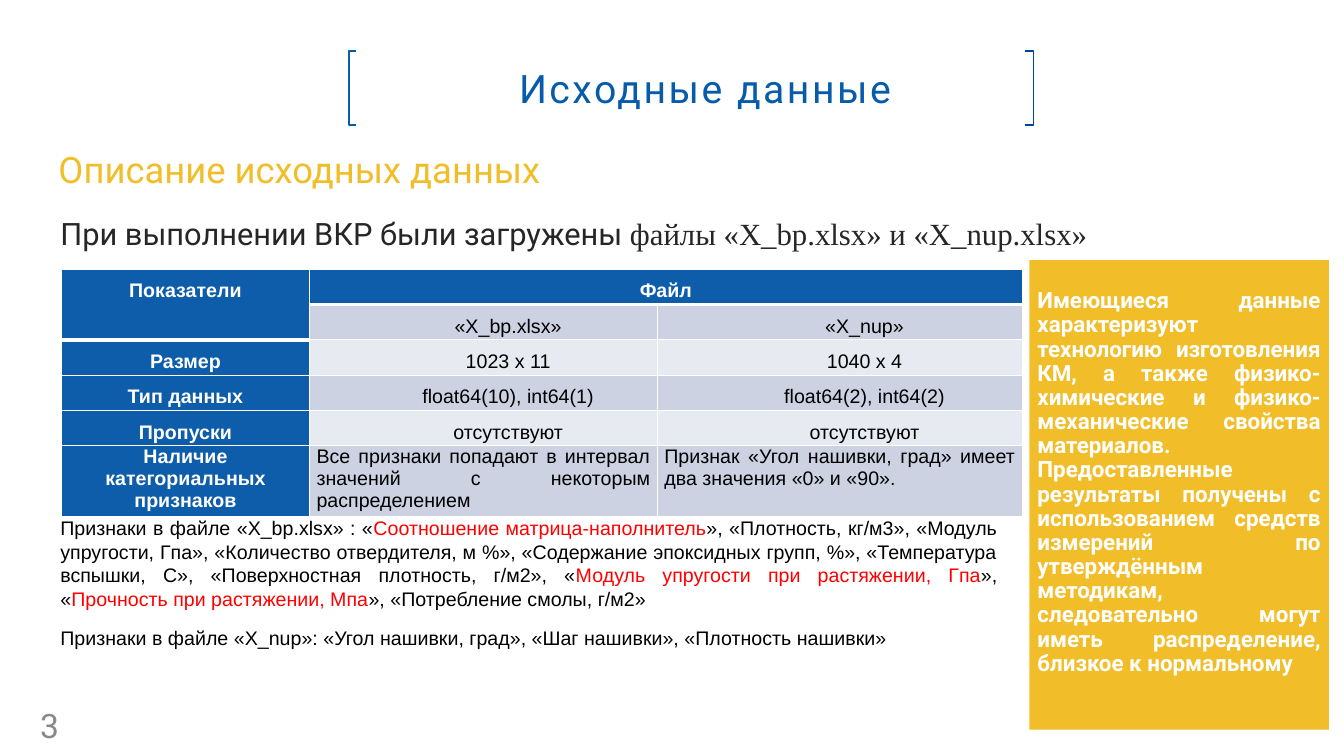
from pptx import Presentation
from pptx.dml.color import RGBColor
from pptx.enum.shapes import MSO_SHAPE as Shape
from pptx.enum.text import MSO_ANCHOR as Anchor, PP_ALIGN as Align
from pptx.oxml.ns import qn
from pptx.util import Pt
from lxml.etree import SubElement

PX = 9144  # 100 px to the inch
BLUE = RGBColor(0x06, 0x5C, 0xAB)
DEEP_BLUE = RGBColor(0x00, 0x46, 0xA2)
TABLE_BLUE = RGBColor(0x0E, 0x5D, 0xAB)
BAND_DARK = RGBColor(0xCC, 0xD2, 0xE2)
BAND_LIGHT = RGBColor(0xE7, 0xEA, 0xF1)
GOLD = RGBColor(0xF1, 0xBE, 0x29)
WHITE = RGBColor(0xFF, 0xFF, 0xFF)
BLACK = RGBColor(0x00, 0x00, 0x00)
RED = RGBColor(0xFF, 0x00, 0x00)
DARK_GREY = RGBColor(0x26, 0x26, 0x26)
GREY = RGBColor(0x89, 0x89, 0x89)

TABLE_ROWS = [
    ["Показатели", "Файл", ""],
    ["", "«X_bp.xlsx»", "«X_nup»"],
    ["Размер", "1023 х 11", "1040 х 4"],
    ["Тип данных", "float64(10), int64(1)", "float64(2), int64(2)"],
    ["Пропуски", "отсутствуют", "отсутствуют"],
    ["Наличие категориальных признаков",
     "Все признаки попадают в интервал значений с некоторым распределением",
     "Признак «Угол нашивки, град» имеет два значения «0» и «90»."],
]
HEADER_CELLS = {(0, 0), (0, 1), (0, 2), (1, 0)}

# Every second piece is a target feature, shown in red.
BP_FEATURES = [
    "Признаки в файле «X_bp.xlsx» : «",
    "Соотношение матрица-наполнитель",
    "», «Плотность, кг/м3», «Модуль упругости, Гпа», «Количество отвердителя, м %», "
    "«Содержание эпоксидных групп, %», «Температура вспышки, С», "
    "«Поверхностная плотность, г/м2», «",
    "Модуль упругости при растяжении, Гпа",
    "», «",
    "Прочность при растяжении, Мпа",
    "», «Потребление смолы, г/м2»",
]
NUP_FEATURES = "Признаки в файле «X_nup»: «Угол нашивки, град», «Шаг нашивки», «Плотность нашивки»"
CONCLUSIONS = [
    "Имеющиеся данные характеризуют технологию изготовления КМ, а также "
    "физико-химические и физико-механические свойства материалов.",
    "Предоставленные результаты получены с использованием средств измерений по "
    "утверждённым методикам, следовательно могут иметь распределение, близкое к нормальному",
]


def scaled(*lengths):
    return [length * PX for length in lengths]


def set_insets(holder, *insets):
    (holder.margin_left, holder.margin_top,
     holder.margin_right, holder.margin_bottom) = scaled(*insets)


def style(para, size, color, name="Roboto", bold=False, align=Align.LEFT, spacing=1.0):
    font = para.font
    font.size, font.name, font.bold = Pt(size), name, bold
    font.color.rgb = color
    para.alignment, para.line_spacing = align, spacing


def add_text(page, box, text, size, color, left_inset=10, anchor=Anchor.TOP, **look):
    """Adds a one-paragraph text box and returns the paragraph."""
    frame = page.shapes.add_textbox(*scaled(*box)).text_frame
    frame.word_wrap = True
    frame.vertical_anchor = anchor
    set_insets(frame, left_inset, 5, 10, 5)
    para = frame.paragraphs[0]
    para.text = text
    style(para, size, color, **look)
    return para


def add_block(shapes, box, color):
    block = shapes.add_shape(Shape.RECTANGLE, *scaled(*box))
    block.shadow.inherit = False
    block.fill.solid()
    block.fill.fore_color.rgb = color
    block.line.fill.background()
    block.text_frame.word_wrap = True
    block.text_frame.vertical_anchor = Anchor.MIDDLE
    return block


def add_bracket(shapes, spine, tip, top, bottom, color):
    builder = shapes.build_freeform(tip, top, scale=PX)
    builder.add_line_segments([(spine, top), (spine, bottom), (tip, bottom)], close=False)
    bracket = builder.convert_to_shape()
    bracket.shadow.inherit = False
    bracket.fill.background()
    bracket.line.color.rgb = color
    bracket.line.width = Pt(1.3)


def add_title(page, box):
    left, top, width, height = box
    shapes = page.shapes.add_group_shape().shapes
    block = add_block(shapes, box, WHITE)
    block.line.color.rgb = WHITE
    block.line.width = Pt(2)
    para = block.text_frame.paragraphs[0]
    span = para.add_run()
    span.text = "Исходные данные"
    span.font._element.set("spc", "180")
    style(para, 28, BLUE, align=Align.CENTER)
    right = left + 679
    add_bracket(shapes, left, left + 7, top, top + height, BLUE)
    add_bracket(shapes, right, right - 8, top, top + height, DEEP_BLUE)


def add_borders(cell, widths):
    properties = cell._tc.get_or_add_tcPr()
    for side, width in widths.items():
        line = SubElement(properties, qn(f"a:ln{side}"), w=str(Pt(width)))
        fill = SubElement(line, qn("a:solidFill"))
        SubElement(fill, qn("a:srgbClr"), val=str(WHITE))


def add_data_table(page, box):
    table = page.shapes.add_table(len(TABLE_ROWS), 3, *scaled(*box)).table
    for column, width in zip(table.columns, scaled(246, 345, 362)):
        column.width = width
    last = len(TABLE_ROWS) - 1
    for r, row in enumerate(TABLE_ROWS):
        table.rows[r].height = (65 if r == last else 33) * PX
        for c, text in enumerate(row):
            cell = table.cell(r, c)
            head = c == 0 or r == 0
            add_borders(cell, {"L": 1, "R": 1,
                               "T": 3 if (r - 1, c) in HEADER_CELLS else 1,
                               "B": 3 if (r, c) in HEADER_CELLS else 1})
            cell.fill.solid()
            band = BAND_DARK if r % 2 else BAND_LIGHT
            cell.fill.fore_color.rgb = TABLE_BLUE if head else band
            set_insets(cell, 7 if head or r == last else 56, 0, 7, 0)
            para = cell.text_frame.paragraphs[0]
            para.text = text
            style(para, 14, WHITE if head else BLACK, "Arial", head,
                  Align.CENTER if head or r < last else Align.JUSTIFY,
                  1.0 if r == last else 1.5)
    table.cell(0, 0).merge(table.cell(1, 0))
    table.cell(0, 1).merge(table.cell(0, 2))


def add_features(page, box):
    left, top, width, height = box
    para = add_text(page, (left, top, width, 104), "", 14, BLACK,
                    name="Arial", align=Align.JUSTIFY)
    for index, piece in enumerate(BP_FEATURES):
        span = para.add_run()
        span.text = piece
        span.font.color.rgb = RED if index % 2 else BLACK
    add_text(page, (left, top + 109, width + 16, height - 109), NUP_FEATURES,
             14, BLACK, name="Arial")


def add_conclusions(page, box):
    frame = add_block(page.shapes, box, GOLD).text_frame
    set_insets(frame, 8, 4, 8, 28)
    for index, text in enumerate(CONCLUSIONS):
        para = frame.add_paragraph() if index else frame.paragraphs[0]
        para.text = text
        style(para, 16, WHITE, bold=True, align=Align.JUSTIFY, spacing=0.9)


def add_intro(page, box):
    para = add_text(page, box, "", 22, DARK_GREY, left_inset=18,
                    align=Align.JUSTIFY, spacing=0.9)
    for text, name in (("При выполнении ВКР были загружены ", "Roboto"),
                       ("файлы «X_bp.xlsx» и «X_nup.xlsx»", "Times New Roman")):
        span = para.add_run()
        span.text = text
        span.font.name = name


def main():
    deck = Presentation()
    deck.slide_width, deck.slide_height = scaled(1333, 750)
    page = deck.slides.add_slide(deck.slide_layouts[6])
    add_intro(page, (42, 212, 1241, 476))
    add_text(page, (23, 146, 1241, 66), "Описание исходных данных", 26, GOLD,
             left_inset=35, spacing=0.9)
    add_text(page, (30, 704, 62, 30), "3", 24, GREY, anchor=Anchor.MIDDLE)
    add_title(page, (346, 51, 707, 73))
    add_data_table(page, (61, 267, 953, 230))
    add_features(page, (50, 507, 949, 143))
    add_conclusions(page, (1021, 258, 297, 466))
    deck.save("out.pptx")


if __name__ == "__main__":
    main()
